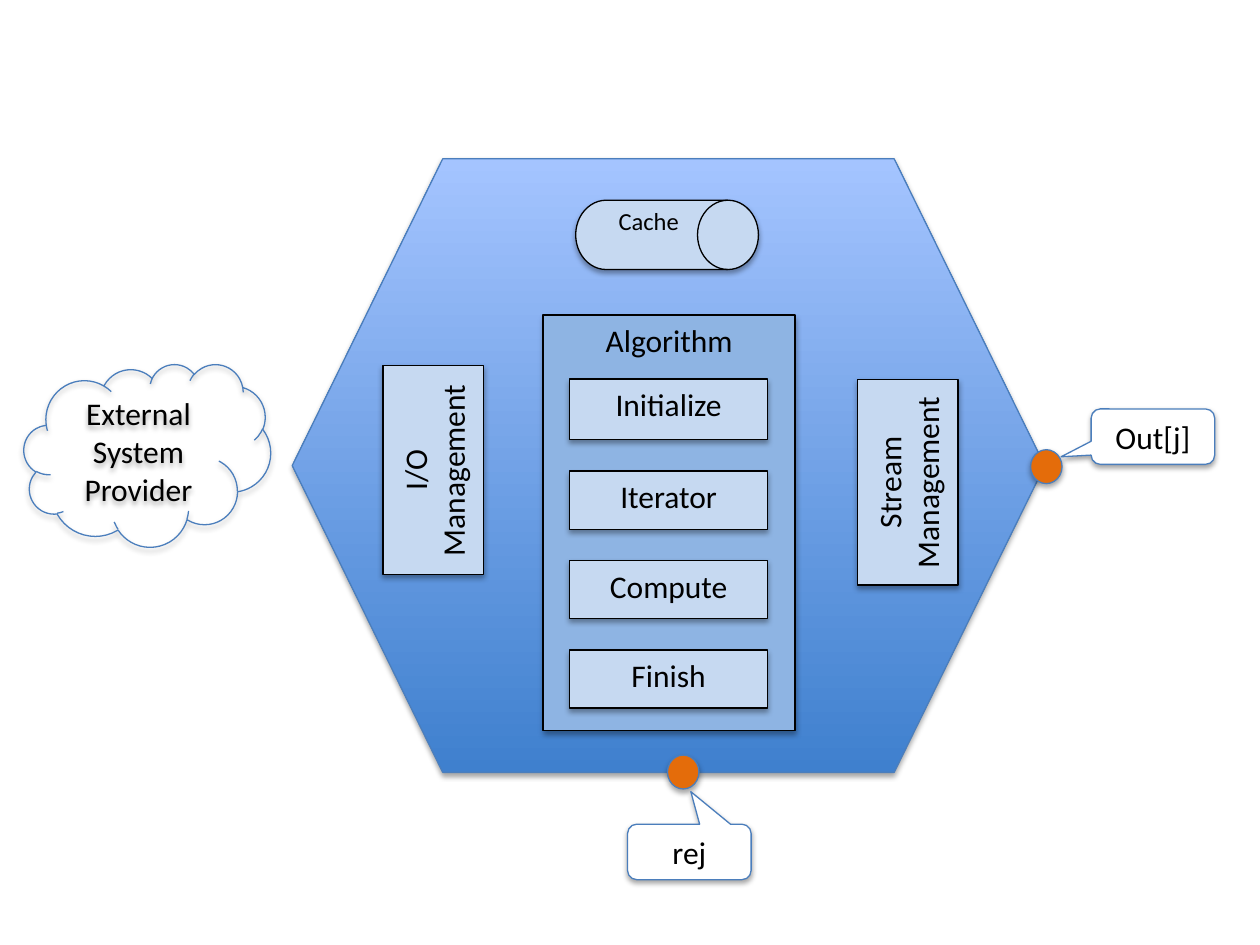
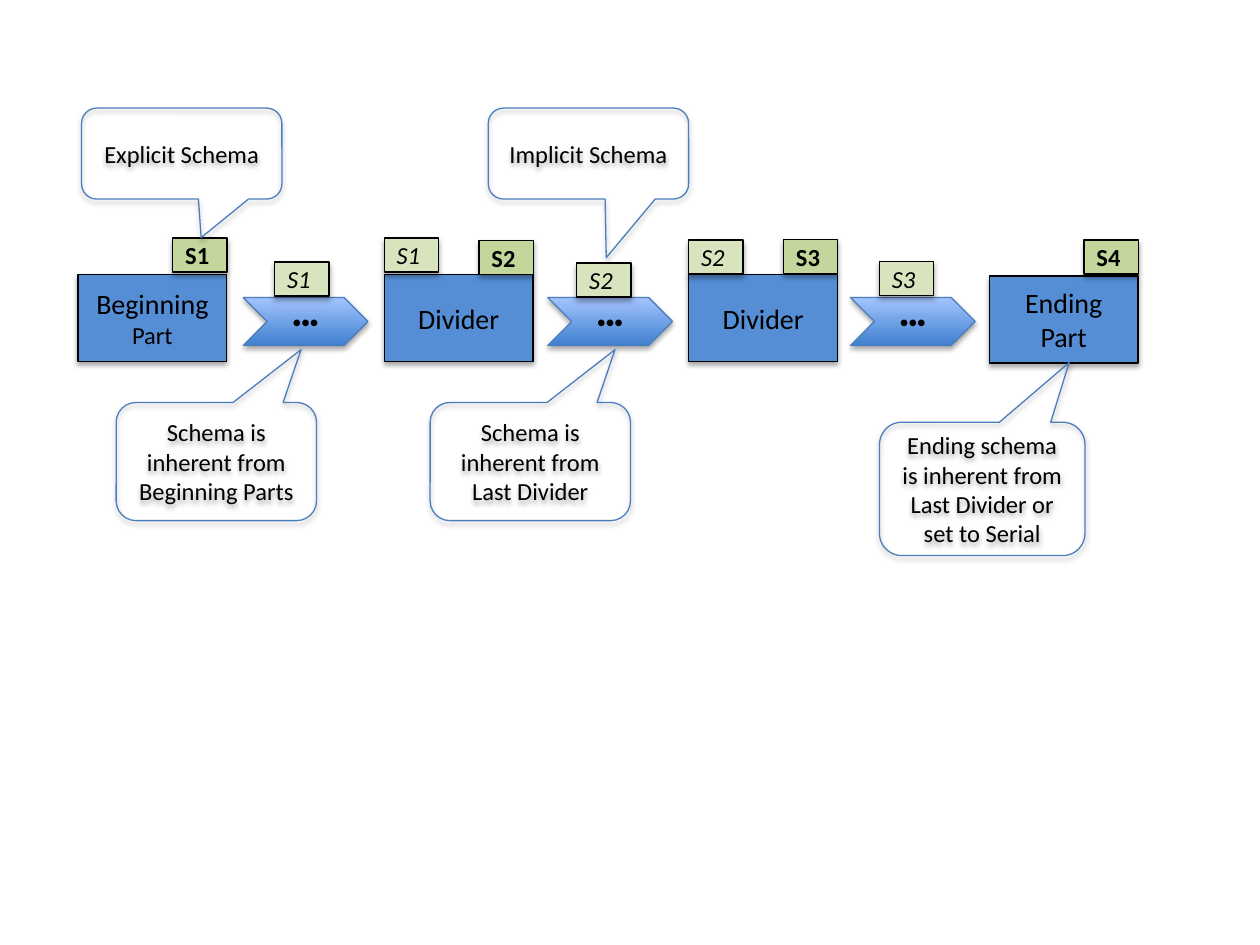
import pptx
import pptx.dml.color
import pptx.enum.shapes
import pptx.enum.text
import pptx.oxml
import pptx.oxml.ns
import pptx.util

Pt = pptx.util.Pt
Color = pptx.dml.color.RGBColor
Shape = pptx.enum.shapes.MSO_SHAPE
Align = pptx.enum.text.PP_ALIGN
Anchor = pptx.enum.text.MSO_ANCHOR

BLACK = Color(0x00, 0x00, 0x00)
WHITE = Color(0xFF, 0xFF, 0xFF)
OUTLINE = Color(0x4B, 0x7E, 0xBC)
DEEP_BLUE = Color(0x3F, 0x80, 0xCE)
LIGHT_BLUE = Color(0xA4, 0xC4, 0xFF)
PALE_BLUE = Color(0xC6, 0xD9, 0xF1)
SOFT_BLUE = Color(0x8E, 0xB4, 0xE3)
PART_BLUE = Color(0x55, 0x8E, 0xD5)
ORANGE = Color(0xE4, 0x6C, 0x0A)
GREEN = Color(0xC3, 0xD6, 0x9B)
PALE_GREEN = Color(0xD7, 0xE4, 0xBD)
GRADIENT = (DEEP_BLUE, LIGHT_BLUE)

SHADOW = (
    '<a:outerShdw %s blurRad="%d" dist="%d" dir="5400000" rotWithShape="0">'
    '<a:srgbClr val="000000"><a:alpha val="35000"/></a:srgbClr></a:outerShdw>'
    % (pptx.oxml.ns.nsdecls("a"), Pt(3.1), Pt(1.8))
)


class Diagram:
    def __init__(self):
        self.deck = pptx.Presentation()
        self.deck.slide_width, self.deck.slide_height = Pt(720), Pt(540)
        self.slide = None

    def new_slide(self):
        self.slide = self.deck.slides.add_slide(self.deck.slide_layouts[6])

    def shape(self, kind, place, fill=None, line=OUTLINE, adjust=()):
        shape = self.slide.shapes.add_shape(kind, *[Pt(length) for length in place])
        for index, value in enumerate(adjust):
            shape.adjustments[index] = value
        if fill is None:
            shape.fill.background()
        elif fill is GRADIENT:
            shape.fill.gradient()
            shape.fill.gradient_angle = 90
            for stop, color in zip(shape.fill.gradient_stops, GRADIENT):
                stop.color.rgb = color
        else:
            shape.fill.solid()
            shape.fill.fore_color.rgb = fill
        shape.line.color.rgb = line
        shape.line.width = Pt(0.75)
        shape.shadow.inherit = False
        effects = shape.element.spPr.find(pptx.oxml.ns.qn("a:effectLst"))
        effects.append(pptx.oxml.parse_xml(SHADOW))
        return shape

    def label(self, shape, *spans, anchor=Anchor.MIDDLE, align=Align.CENTER, **style):
        frame = shape.text_frame
        frame.word_wrap = True
        frame.vertical_anchor = anchor
        para = frame.paragraphs[0]
        para.alignment = align
        for text, size in spans:
            span = para.add_run()
            span.text = text
            font = {"name": "Calibri", "size": Pt(size), **style}
            for name, value in font.items():
                setattr(span.font, name, value)
            span.font.color.rgb = BLACK

    def box(self, place, fill, *spans, rotation=0, **style):
        box = self.shape(Shape.FLOWCHART_PROCESS, place, fill, BLACK)
        box.rotation = rotation
        self.label(box, *spans, **style)

    def tag(self, left, top, text, explicit):
        style = {"bold": True} if explicit else {"italic": True}
        fill = GREEN if explicit else PALE_GREEN
        self.box((left, top, 31, 19.4), fill, (text, 14), align=Align.LEFT, **style)

    def callout(self, place, tip, text, size, fill=None):
        callout = self.shape(
            Shape.ROUNDED_RECTANGULAR_CALLOUT, place, fill, adjust=(*tip, 0.167))
        self.label(callout, (text, size))

    def port(self, left, top):
        self.shape(Shape.FLOWCHART_CONNECTOR, (left, top, 18, 19.4), ORANGE)

    def chevron(self, left):
        chevron = self.shape(Shape.CHEVRON, (left, 170, 71.3, 27.4), GRADIENT)
        self.label(chevron, ("•••", 14), name="Arial")


def draw_component(diagram):
    diagram.new_slide()
    diagram.shape(Shape.FLOWCHART_PREPARATION, (167, 90.8, 430, 350.6), GRADIENT)
    cache = diagram.shape(
        Shape.FLOWCHART_DIRECT_ACCESS_STORAGE, (329, 114.4, 104.4, 39.6), PALE_BLUE, BLACK)
    diagram.label(cache, ("Cache", 14), anchor=Anchor.TOP, align=Align.LEFT)
    for place, text in (
        ((187.9, 239.9, 119.5, 57.6), "I/O Management"),
        ((460, 246.8, 117.4, 57.6), "Stream Management"),
    ):
        diagram.box(place, PALE_BLUE, (text, 18), rotation=270)
    diagram.box((310.4, 180, 144, 237.6), SOFT_BLUE, ("Algorithm", 18), anchor=Anchor.TOP)
    for text, top, height in (
        ("Initialize", 216.6, 34.5),
        ("Iterator", 269.2, 33.2),
        ("Compute", 320.3, 33.2),
        ("Finish", 371.4, 33.2),
    ):
        diagram.box((325.5, top, 113.2, height), PALE_BLUE, (text, 18), anchor=Anchor.TOP)
    cloud = diagram.shape(Shape.CLOUD, (13.7, 208, 141, 104.4))
    diagram.label(cloud, ("External System Provider", 18))
    diagram.port(381.4, 431.5)
    diagram.callout((358.6, 471, 70.6, 31.7), (0.012, -1.087), "rej", 18, WHITE)
    diagram.callout((623.5, 233.7, 70.6, 31.7), (-0.743, 0.364), "Out[j]", 18, WHITE)
    diagram.port(588.9, 257)


def draw_schema_flow(diagram):
    diagram.new_slide()
    for left, top, tag_top, tag, spans in (
        (44.6, 157, 136.1, "S1", (("Beginning", 16), (" Part", 14))),
        (219.6, 157, 137.5, "S2", (("Divider", 16),)),
        (393.6, 157, 136.8, "S3", (("Divider", 16),)),
        (565.3, 157.7, 137.2, "S4", (("Ending Part", 16),)),
    ):
        diagram.box((left, top, 85, 49.7), PART_BLUE, *spans)
        diagram.tag(left + 54.2, tag_top, tag, True)
    for left in (139, 313, 486):
        diagram.chevron(left)
    for left, top, text in (
        (157, 149.8, "S1"),
        (329.6, 150.3, "S2"),
        (502.6, 149.3, "S3"),
        (219.6, 136.1, "S1"),
        (393.6, 137.2, "S2"),
    ):
        diagram.tag(left, top, text, False)
    upward = (0.423, -0.948)
    for place, tip, text in (
        ((66.4, 230, 114.5, 67.5), upward, "Schema is inherent from Beginning Parts"),
        ((245.8, 230, 114.5, 67.5), upward, "Schema is inherent from Last Divider"),
        ((502.6, 241.3, 117.4, 76.2), upward,
         "Ending schema is inherent from Last Divider or set to Serial"),
        ((46.6, 61.8, 114.5, 52), (0.097, 0.924), "Explicit Schema"),
        ((279, 61.8, 114.5, 52), (0.089, 1.144), "Implicit Schema"),
    ):
        diagram.callout(place, tip, text, 14)


diagram = Diagram()
draw_component(diagram)
draw_schema_flow(diagram)
diagram.deck.save("out.pptx")
